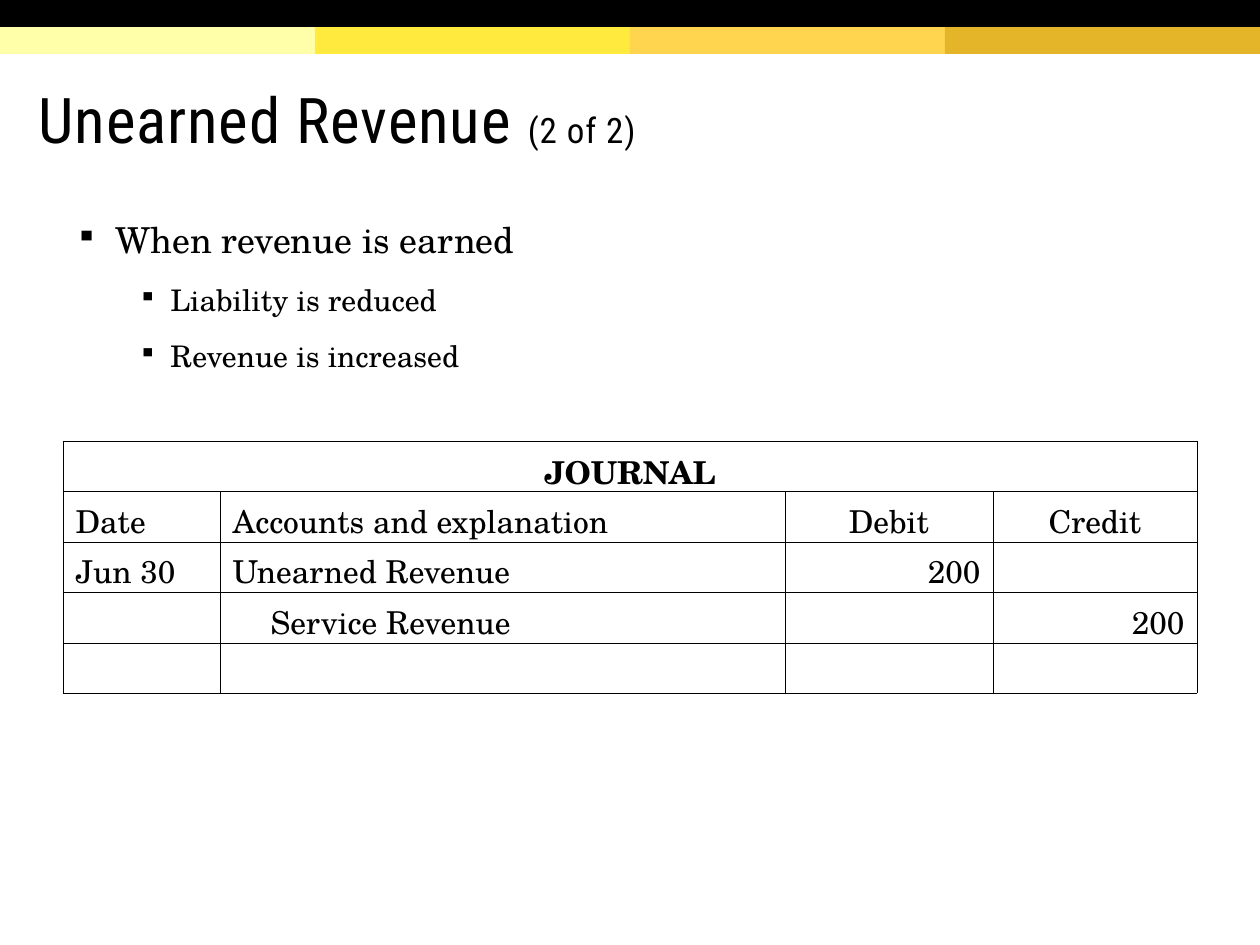
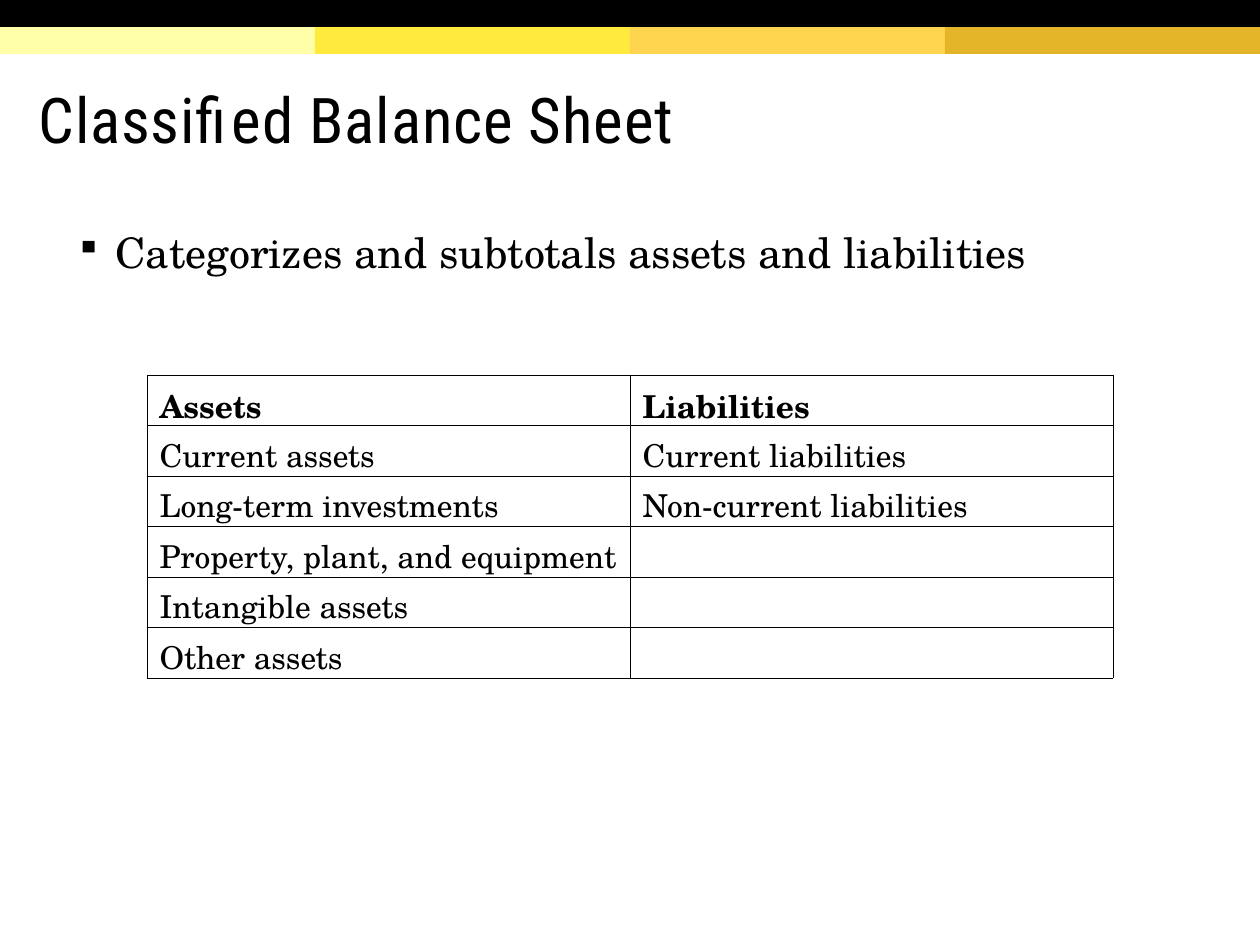
from lxml import etree
from pptx import Presentation
from pptx import util as u
from pptx.dml.color import RGBColor
from pptx.enum import shapes, text
from pptx.oxml.ns import qn

TITLE_FONT, BODY_FONT = "Roboto Condensed", "TeX Gyre Schola"
BLACK = "000000"
BAND_COLOURS = ["FFFFAA", "FFEA3D", "FFD54F", "E4B429"]
PAGE_WIDTH, PAGE_HEIGHT, BAND_HEIGHT = 1260, 945, 27
ROW_HEIGHT, CELL_INDENT = 50, 38
ALIGNMENTS = {"centre": text.PP_ALIGN.CENTER, "right": text.PP_ALIGN.RIGHT}
BULLET_INDENTS = [(40, -40), (95, -32)]  # left margin and first line, by level

# Bullets are (level, size in points, words); cells are words or (words, placing).
SLIDES = [
    {
        "title": [("Unearned Revenue ", 36), ("(2 of 2)", 20)],
        "bullets": [
            (0, 20.4, "When revenue is earned"),
            (1, 17, "Liability is reduced"),
            (1, 17, "Revenue is increased"),
        ],
        "bullets_height": 168,
        "line_spacing": 0.8,
        "table_at": (63, 441),
        "columns": [157, 565, 208, 204],
        "merge_heading": True,
        "rows": [
            [("JOURNAL", "centre"), "", "", ""],
            ["Date", "Accounts and explanation", ("Debit", "centre"), ("Credit", "centre")],
            ["Jun 30", "Unearned Revenue", ("200", "right"), ""],
            ["", ("Service Revenue", "indent"), "", ("200", "right")],
            ["", "", "", ""],
        ],
    },
    {
        "title": [("Classified Balance Sheet", 36)],
        "bullets": [(0, 24, "Categorizes and subtotals assets and liabilities")],
        "bullets_height": 116,
        "line_spacing": 1.0,
        "table_at": (147, 375),
        "columns": [483, 483],
        "merge_heading": False,
        "rows": [
            ["Assets", "Liabilities"],
            ["Current assets", "Current liabilities"],
            ["Long-term investments", "Non-current liabilities"],
            ["Property, plant, and equipment", ""],
            ["Intangible assets", ""],
            ["Other assets", ""],
        ],
    },
]


def px(length):
    return u.Emu(round(length * 914400 / 126))


def colour(hex_code):
    return RGBColor.from_string(hex_code)


def set_font(font, name, size, bold=False):
    font.name, font.size, font.bold = name, u.Pt(size), bold
    font.color.rgb = colour(BLACK)


def add_child(parent, tag, **attributes):
    return etree.SubElement(parent, qn(tag), attributes)


def add_band(page, left, top, width, fill):
    band = page.shapes.add_shape(
        shapes.MSO_SHAPE.RECTANGLE, px(left), px(top), px(width), px(BAND_HEIGHT))
    band.shadow.inherit = False
    band.fill.solid()
    band.fill.fore_color.rgb = colour(fill)
    band.line.fill.background()


def add_bands(page):
    width = PAGE_WIDTH // len(BAND_COLOURS)
    for index, fill in enumerate(BAND_COLOURS):
        add_band(page, index * width, BAND_HEIGHT, width, fill)
    add_band(page, 0, 0, PAGE_WIDTH, BLACK)


def fill_title(page, parts):
    title = page.shapes.title
    title.left, title.top, title.width, title.height = map(px, (26, 59, 1196, 123))
    frame = title.text_frame
    frame.auto_size = text.MSO_AUTO_SIZE.NONE
    frame.vertical_anchor = text.MSO_ANCHOR.MIDDLE
    frame.margin_top = px(13)
    para = frame.paragraphs[0]
    para.alignment, para.line_spacing = text.PP_ALIGN.LEFT, 0.85
    for words, size in parts:
        span = para.add_run()
        span.text = words
        set_font(span.font, TITLE_FONT, size)
        span._r.get_or_add_rPr().set("spc", "50")


def add_bullets(page, bullets, height, line_spacing):
    box = page.shapes.add_textbox(px(63), px(220), px(1134), px(height))
    frame = box.text_frame
    frame.word_wrap = True
    for index, (level, size, words) in enumerate(bullets):
        para = frame.add_paragraph() if index else frame.paragraphs[0]
        para.text, para.level = words, level
        para.line_spacing, para.space_after = line_spacing, u.Pt(8)
        if index:
            para.space_before = u.Pt(8)
        properties = para._p.get_or_add_pPr()
        margin, indent = BULLET_INDENTS[level]
        properties.set("marL", str(px(margin)))
        properties.set("indent", str(px(indent)))
        add_child(add_child(properties, "a:buClr"), "a:srgbClr", val=BLACK)
        add_child(properties, "a:buSzPct", val="85000")
        add_child(properties, "a:buChar", char="▪")
        set_font(para.font, BODY_FONT, size)


def add_borders(cell):
    properties = cell._tc.get_or_add_tcPr()
    for side in ("a:lnL", "a:lnR", "a:lnT", "a:lnB"):
        line = add_child(properties, side, w=str(u.Pt(0.25)))
        add_child(add_child(line, "a:solidFill"), "a:srgbClr", val=BLACK)


def fill_cell(cell, content, bold):
    words, placing = content if isinstance(content, tuple) else (content, None)
    add_borders(cell)
    cell.fill.background()
    para = cell.text_frame.paragraphs[0]
    para.text = words
    para.alignment = ALIGNMENTS.get(placing)
    if placing == "indent":
        para._p.get_or_add_pPr().set("marL", str(px(CELL_INDENT)))
    set_font(para.font, BODY_FONT, 18, bold)
    if not words:
        ending = add_child(para._p, "a:endParaRPr", sz="1800")
        add_child(ending, "a:latin", typeface=BODY_FONT)


def add_grid(page, position, columns, rows, merge_heading):
    left, top = position
    table = page.shapes.add_table(
        len(rows), len(columns), px(left), px(top),
        px(sum(columns)), px(ROW_HEIGHT * len(rows))).table
    table.first_row = table.horz_banding = False
    for column, width in zip(table.columns, columns):
        column.width = px(width)
    for row_index, row in enumerate(rows):
        for column_index, content in enumerate(row):
            fill_cell(table.cell(row_index, column_index), content, row_index == 0)
    if merge_heading:
        table.cell(0, 0).merge(table.cell(0, len(columns) - 1))


def main():
    deck = Presentation()
    deck.slide_width, deck.slide_height = px(PAGE_WIDTH), px(PAGE_HEIGHT)
    title_only = deck.slide_layouts.get_by_name("Title Only")
    for content in SLIDES:
        page = deck.slides.add_slide(title_only)
        add_bands(page)
        fill_title(page, content["title"])
        add_bullets(page, content["bullets"], content["bullets_height"],
                    content["line_spacing"])
        add_grid(page, content["table_at"], content["columns"], content["rows"],
                 content["merge_heading"])
    deck.save("out.pptx")


if __name__ == "__main__":
    main()
